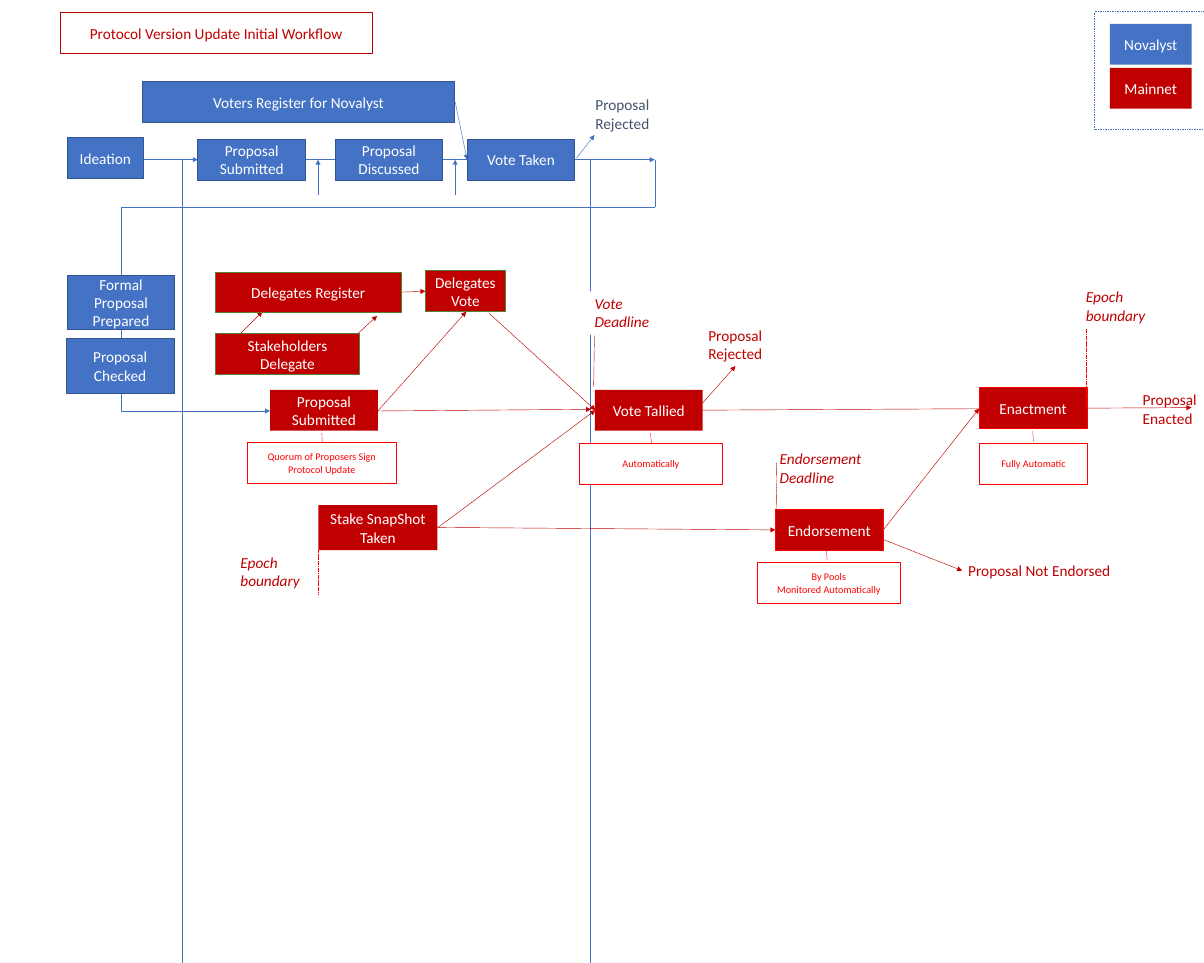
from dataclasses import dataclass
from itertools import pairwise
from typing import Optional

from lxml.etree import SubElement
from pptx import Presentation
from pptx.dml.color import RGBColor
from pptx.enum.dml import MSO_LINE
from pptx.enum.shapes import MSO_CONNECTOR, MSO_SHAPE
from pptx.enum.text import MSO_ANCHOR, MSO_AUTO_SIZE, PP_ALIGN
from pptx.oxml.ns import qn
from pptx.util import Pt

BLUE = RGBColor(0x44, 0x72, 0xC4)
NAVY = RGBColor(0x32, 0x54, 0x91)
SLATE = RGBColor(0x44, 0x54, 0x6A)
RED = RGBColor(0xC0, 0x00, 0x00)
BRIGHT = RGBColor(0xFF, 0x00, 0x00)
GREEN = RGBColor(0x54, 0x82, 0x35)
WHITE = RGBColor(0xFF, 0xFF, 0xFF)

WIDE, HIGH = 1417.68, 1134
STEP, ROW = 127, 48
FLOW = 188


@dataclass
class Box:
    text: str
    left: float
    top: float
    width: float = STEP
    height: float = ROW
    fill: RGBColor = RED
    edge: Optional[RGBColor] = None
    ink: RGBColor = WHITE
    size: float = 18


@dataclass
class Label:
    text: str
    left: float
    top: float
    width: float = 78
    height: float = 51
    ink: RGBColor = RED
    wrap: bool = False
    slant: bool = False


@dataclass
class Route:
    points: list[tuple[float, float]]
    ink: RGBColor = RED
    arrow: bool = True
    dash: bool = False


def task(text: str, left: float, top: float, width: float = STEP, height: float = ROW) -> Box:
    return Box(text, left, top, width, height, BLUE, NAVY)


def note(text: str, left: float, top: float, width: float = 169) -> Box:
    return Box(text, left, top, width, ROW, WHITE, BRIGHT, BRIGHT, 12)


def date(text: str, left: float, top: float, width: float = 99) -> Label:
    return Label(text, left, top, width, wrap=True, slant=True)


ROUTES = [
    Route([(444, 484), (696, 482)]),
    Route([(84, FLOW), (771, FLOW)], BLUE),
    Route([(536, 120), (550, FLOW)], BLUE),
    Route([(694.5, FLOW), (694.5, HIGH)], BLUE, False),
    Route([(215, HIGH), (215, FLOW), (233, FLOW)], BLUE),
    Route([(374.5, 230), (374.5, FLOW)], BLUE),
    Route([(536, 230), (536, FLOW)], BLUE),
    Route([(771, FLOW), (771, 244), (143, 244), (143, 484), (318, 484)], BLUE),
    Route([(679, 186), (700, 159)], BLUE),
    Route([(827, 475), (866, 431)]),
    Route([(827, 483), (1403, 480)]),
    Route([(1040, 624), (1153, 481)]),
    Route([(516, 621), (701, 483)]),
    Route([(284, 392), (309, 367)]),
    Route([(419, 395), (444, 372)]),
    Route([(576, 369), (701, 483)]),
    Route([(472, 344), (501, 343)]),
    Route([(444, 485), (549, 367)]),
    Route([(1009, 623), (1133, 672)]),
    Route([(506, 621), (913, 624)]),
]

LABELS = [
    Label("Proposal\nRejected", 694, 109, ink=SLATE),
    Label("Proposal\nRejected", 827, 380),
    Label("Proposal\nEnacted", 1338.5, 456.5),
    Label("Proposal Not Endorsed", 1133, 657, 220, 29, wrap=True),
    date("Vote Deadline", 693, 343),
    date("Epoch boundary", 1271.5, 335),
    date("Epoch boundary", 276, 648),
    date("Endorsement Deadline", 911, 526, 116),
]

BOXES = [
    task("Voters Register for Novalyst", 168, 96, 367),
    task("Proposal Submitted", 233, 164),
    task("Proposal Discussed", 394.5, 164),
    task("Vote Taken", 550, 164),
    task("Ideation", 79, 162, 90),
    task("Formal\nProposal\nPrepared", 79, 324, height=64),
    task("Proposal\nChecked", 78, 399, height=64),
    Box("Proposal Submitted", 318, 459),
    Box("Vote Tallied", 700.5, 459),
    Box("Stake SnapShot\nTaken", 375, 595, 140, 53),
    Box("Endorsement", 913, 600, edge=BRIGHT),
    Box("Enactment", 1153, 456.5, edge=BRIGHT),
    Box("Stakeholders Delegate", 254, 393, 169, edge=GREEN),
    Box("Delegates Register", 253.5, 320.5, 219, edge=GREEN),
    Box("Delegates Vote", 501, 319, 94, edge=GREEN),
    Box("Novalyst", 1307, 28, 96, fill=BLUE),
    Box("Mainnet", 1307, 80, 96),
    note("Quorum of Proposers Sign\nProtocol Update", 291.5, 521, 175),
    note("Automatically", 682, 522),
    note("Fully Automatic", 1153.5, 522, STEP),
    note("By Pools\nMonitored Automatically", 891.5, 662.5),
]

DASHES = [
    Route([start, end], ink, False, True)
    for start, end, ink in [
        ((379, 510), (379.5, 521), BRIGHT),
        ((766, 510), (767, 522), BRIGHT),
        ((1216, 508), (1217, 520), BRIGHT),
        ((973, 649), (974, 660), BRIGHT),
        ((1279.5, 387), (1279.5, 480), BRIGHT),
        ((375, 648), (375, 700), BRIGHT),
        ((700, 395), (699, 455), RED),
        ((914.5, 545), (914, 605), RED),
    ]
]


def write(shape, text: str, ink: RGBColor, size: float = 18, slant: bool = False) -> None:
    line = shape.text_frame.paragraphs[0]
    line.text = text
    for run in line.runs:
        run.font.name = "Calibri"
        run.font.size = Pt(size)
        run.font.italic = slant
        run.font.color.rgb = ink


def dress(shape, box: Box) -> None:
    shape.left, shape.top = Pt(box.left), Pt(box.top)
    shape.width, shape.height = Pt(box.width), Pt(box.height)
    shape.fill.solid()
    shape.fill.fore_color.rgb = box.fill
    if box.edge is None:
        shape.line.fill.background()
    else:
        shape.line.color.rgb = box.edge
        shape.line.width = Pt(1)
    frame = shape.text_frame
    frame.word_wrap = True
    frame.auto_size = MSO_AUTO_SIZE.NONE
    frame.vertical_anchor = MSO_ANCHOR.MIDDLE
    write(shape, box.text, box.ink, box.size)
    frame.paragraphs[0].alignment = PP_ALIGN.CENTER


def block(slide, left: float, top: float, width: float, height: float):
    shape = slide.shapes.add_shape(MSO_SHAPE.RECTANGLE, Pt(left), Pt(top), Pt(width), Pt(height))
    shape.shadow.inherit = False
    return shape


def tag(slide, item: Label) -> None:
    shape = slide.shapes.add_textbox(Pt(item.left), Pt(item.top), Pt(item.width), Pt(item.height))
    shape.text_frame.word_wrap = item.wrap
    if item.slant:
        shape.fill.solid()
        shape.fill.fore_color.rgb = WHITE
    write(shape, item.text, item.ink, slant=item.slant)


def trace(slide, route: Route) -> None:
    for start, end in pairwise(route.points):
        ends = [Pt(value) for value in (*start, *end)]
        link = slide.shapes.add_connector(MSO_CONNECTOR.STRAIGHT, *ends)
        link.line.color.rgb = route.ink
        link.line.width = Pt(0.5)
        if route.dash:
            link.line.dash_style = MSO_LINE.SQUARE_DOT
        if route.arrow and end == route.points[-1]:
            SubElement(link.line._get_or_add_ln(), qn("a:tailEnd"), type="triangle")
        SubElement(link._element.spPr, qn("a:effectLst"))


def main() -> None:
    deck = Presentation()
    deck.slide_width, deck.slide_height = Pt(WIDE), Pt(HIGH)
    slide = deck.slides.add_slide(deck.slide_layouts[5])
    head = Box("Protocol Version Update Initial Workflow", 71, 15, 367, ROW, WHITE, RED, RED)
    dress(slide.shapes.title, head)
    for route in ROUTES:
        trace(slide, route)
    for item in LABELS:
        tag(slide, item)
    for box in BOXES:
        dress(block(slide, box.left, box.top, box.width, box.height), box)
    for route in DASHES:
        trace(slide, route)
    legend = block(slide, 1289, 14, 128.68, 138)
    legend.fill.background()
    legend.line.color.rgb = BLUE
    legend.line.width = Pt(1)
    legend.line.dash_style = MSO_LINE.ROUND_DOT
    deck.save("out.pptx")


if __name__ == "__main__":
    main()
